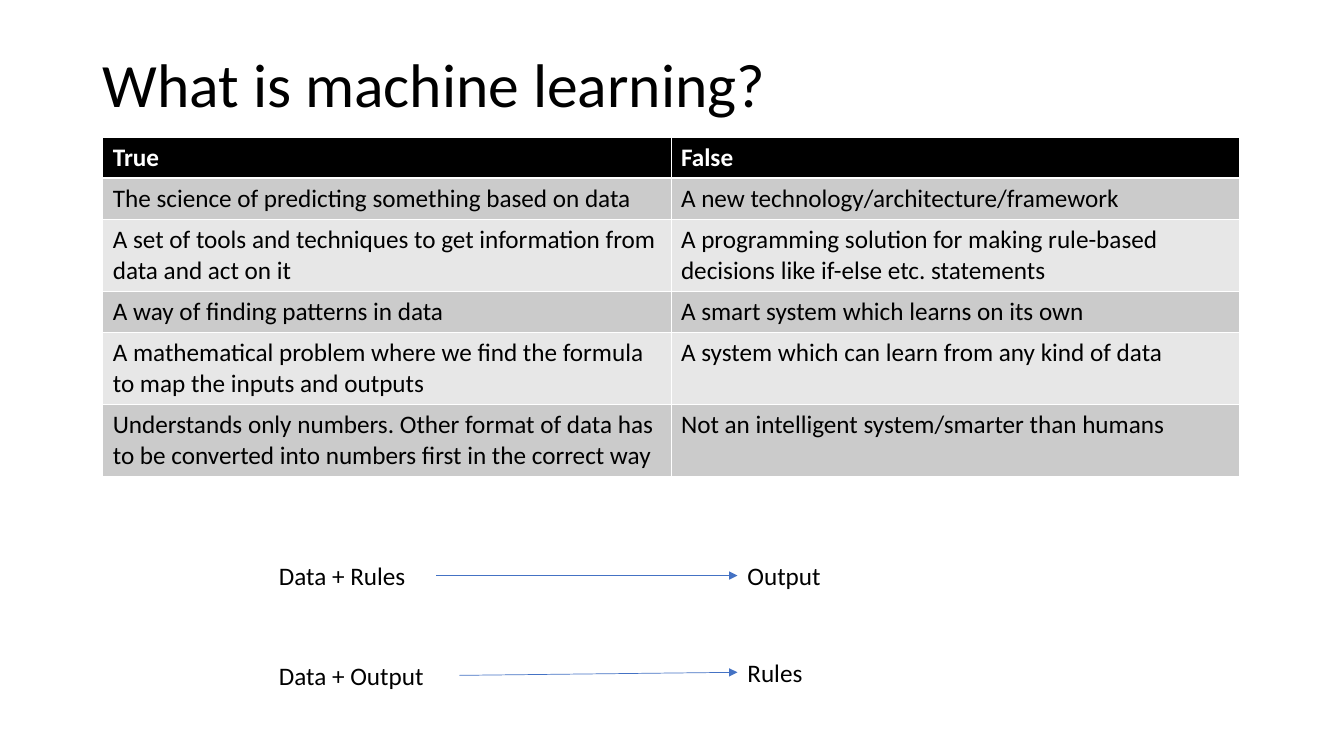
from lxml import etree
from pptx import Presentation, util as u
from pptx.dml.color import RGBColor
from pptx.enum import shapes, text
from pptx.oxml.ns import qn

EMU_PER_PX = 9144
FONT = "Calibri"
COLORS = {
    "text": "000000", "header_text": "FFFFFF", "header": "000000",
    "odd_row": "CBCBCB", "even_row": "E7E7E7",
    "border": "FFFFFF", "arrow": "4472C4",
}
STATEMENTS = [
    ("True", "False"),
    ("The science of predicting something based on data",
     "A new technology/architecture/framework"),
    ("A set of tools and techniques to get information from data and act on it",
     "A programming solution for making rule-based decisions like if-else etc. statements"),
    ("A way of finding patterns in data",
     "A smart system which learns on its own"),
    ("A mathematical problem where we find the formula to map the inputs and outputs",
     "A system which can learn from any kind of data"),
    ("Understands only numbers. Other format of data has to be converted into numbers first in the correct way",
     "Not an intelligent system/smarter than humans"),
]
ROW_HEIGHTS = [41, 41, 71, 41, 71, 71]
FLOWS = [
    (("Data + Rules", 267, 551, 166), ("Output", 732, 551, 105)),
    (("Data + Output", 267, 650, 189), ("Rules", 732, 647, 76)),
]


def px(*lengths):
    return [u.Emu(length * EMU_PER_PX) for length in lengths]


def rgb(name):
    return RGBColor.from_string(COLORS[name])


def format_text(frame, size, color, bold=False):
    for paragraph in frame.paragraphs:
        for run in paragraph.runs:
            run.font.name = FONT
            run.font.size = u.Pt(size)
            run.font.bold = bold
            run.font.color.rgb = rgb(color)


def set_title(slide, wording):
    title = slide.shapes.title
    title.left, title.top, title.width, title.height = px(92, 40, 1129, 94)
    frame = title.text_frame
    frame.text = wording
    frame.vertical_anchor = text.MSO_ANCHOR.MIDDLE
    frame.auto_size = text.MSO_AUTO_SIZE.NONE
    frame.paragraphs[0].alignment = text.PP_ALIGN.LEFT
    frame.paragraphs[0].line_spacing = 0.9
    format_text(frame, 44, "text")


def set_borders(cell, top, bottom):
    properties = cell._tc.get_or_add_tcPr()
    for side, width in (("L", 0.45), ("R", 0.45), ("T", top), ("B", bottom)):
        border = etree.SubElement(properties, qn(f"a:ln{side}"), w=str(u.Pt(width)))
        fill = etree.SubElement(border, qn("a:solidFill"))
        etree.SubElement(fill, qn("a:srgbClr"), val=COLORS["border"])


def add_comparison(slide):
    table = slide.shapes.add_table(
        len(STATEMENTS), 2, *px(102, 136, 1128, sum(ROW_HEIGHTS))).table
    for column in table.columns:
        column.width = px(564)[0]
    for index, (height, statements) in enumerate(zip(ROW_HEIGHTS, STATEMENTS)):
        table.rows[index].height = px(height)[0]
        is_header = index == 0
        band = "header" if is_header else "odd_row" if index % 2 else "even_row"
        for column, statement in enumerate(statements):
            cell = table.cell(index, column)
            cell.text = statement
            set_borders(cell, 1.47 if index == 1 else 0.45, 1.47 if is_header else 0.45)
            cell.fill.solid()
            cell.fill.fore_color.rgb = rgb(band)
            format_text(cell.text_frame, 18,
                        "header_text" if is_header else "text", is_header)


def add_label(slide, wording, left, top, width):
    label = slide.shapes.add_textbox(*px(left, top, width, 40))
    frame = label.text_frame
    frame.word_wrap = True
    frame.auto_size = text.MSO_AUTO_SIZE.SHAPE_TO_FIT_TEXT
    frame.text = wording
    format_text(frame, 18, "text")
    return label


def add_arrow(slide, source, target):
    arrow = slide.shapes.add_connector(shapes.MSO_CONNECTOR.STRAIGHT, 0, 0, 0, 0)
    arrow.begin_connect(source, 3)
    arrow.end_connect(target, 1)
    arrow.line.color.rgb = rgb("arrow")
    arrow.line.width = u.Pt(0.5)
    etree.SubElement(arrow.line._get_or_add_ln(), qn("a:tailEnd"), type="triangle")
    etree.SubElement(arrow._element.spPr, qn("a:effectLst"))


def main():
    deck = Presentation()
    deck.slide_width, deck.slide_height = px(1334, 750)
    slide = deck.slides.add_slide(deck.slide_layouts[5])
    set_title(slide, "What is machine learning?")
    add_comparison(slide)
    for given, result in FLOWS:
        add_arrow(slide, add_label(slide, *given), add_label(slide, *result))
    deck.save("out.pptx")


if __name__ == "__main__":
    main()
